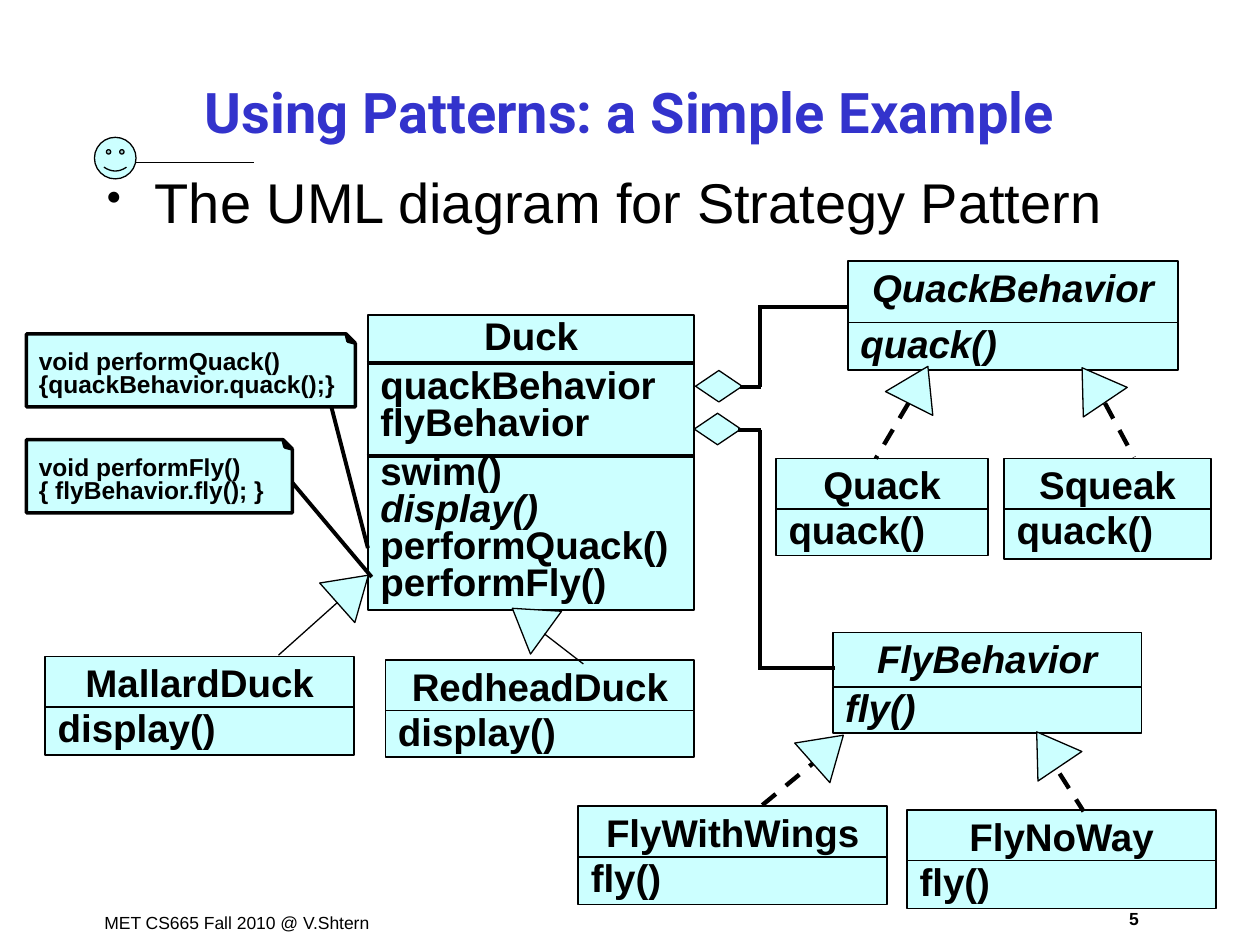
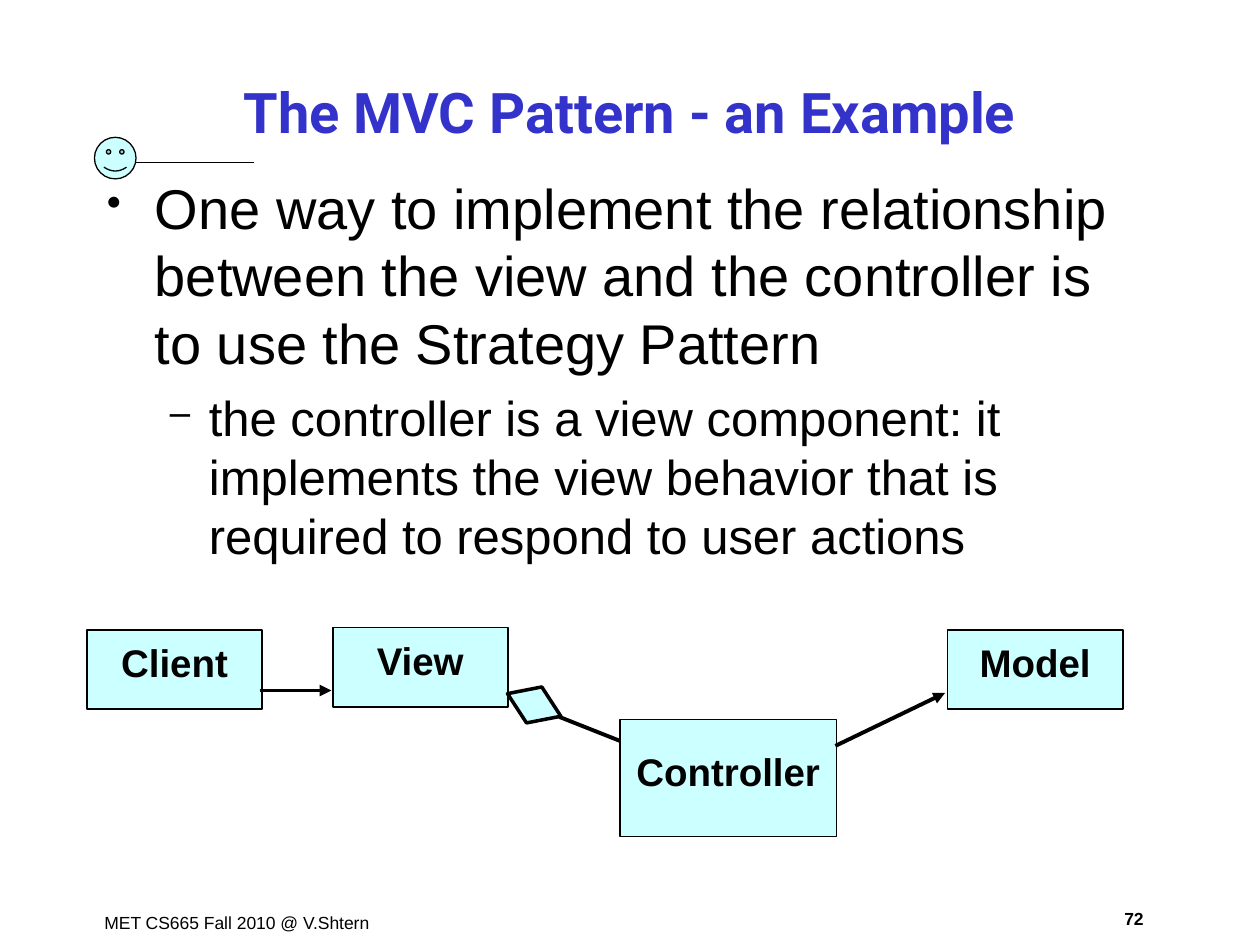
import pptx
import pptx.util
import pptx.dml.color
import pptx.enum.dml
import pptx.enum.shapes
import pptx.enum.text
import pptx.oxml.ns
from dataclasses import dataclass
from lxml import etree

Inches, Pt = pptx.util.Inches, pptx.util.Pt
Kind = pptx.enum.shapes.MSO_SHAPE
Align = pptx.enum.text.PP_ALIGN
Anchor = pptx.enum.text.MSO_ANCHOR
qn = pptx.oxml.ns.qn


@dataclass(frozen=True)
class Theme:
    ink: str = "000000"
    fill: str = "CCFFFF"
    blue: str = "3333CC"
    head: str = "Roboto"
    body: str = "Arial"
    title: int = 32
    sub: int = 28
    label: int = 22
    note: int = 14
    foot: int = 10
    hair: float = 0.74
    thin: float = 0.99
    bold: float = 2.01
    link: float = 2.24
    dash: float = 2.49


T = Theme()

FOOT = "MET CS665 Fall 2010 @ V.Shtern"
LEVELS = [("\u2022", T.title, 0.38, -0.38), ("\u2013", T.sub, 0.81, -0.31)]

UML = {
    "title": "Using Patterns: a Simple Example",
    "page": "5",
    "top": 1.32,
    "points": [("The UML diagram for Strategy Pattern", 0, 0.95, 6)],
}
MVC = {
    "title": "The MVC Pattern - an Example",
    "page": "72",
    "top": 1.33,
    "points": [
        ("One way to implement the relationship between the view and the "
         "controller is to use the Strategy Pattern", 0, 1, 8),
        ("the controller is a view component: it implements the view behavior "
         "that is required to respond to user actions", 1, 1, 7),
    ],
}

DUCK = [
    ("Duck", 0, False), ("quackBehavior", 6.9, False),
    ("flyBehavior", 0, False), ("swim()", 6.9, False),
    ("display()", 0, True), ("performQuack()", 0, False),
    ("performFly()", 0, False),
]
DUCK_AT = (2.92, 2.5, 2.59, 2.34)
RULES = [2.88, 3.62]

CLASSES = [
    ("MallardDuck", "display()", 0.36, 5.21, 2.45, 0.4, 0.38, False),
    ("RedheadDuck", "display()", 3.06, 5.24, 2.45, 0.4, 0.37, False),
    ("FlyBehavior", "fly()", 6.61, 5.02, 2.45, 0.43, 0.37, True),
    ("FlyWithWings", "fly()", 4.59, 6.4, 2.45, 0.4, 0.38, False),
    ("FlyNoWay", "fly()", 7.2, 6.43, 2.45, 0.4, 0.38, False),
    ("QuackBehavior", "quack()", 6.73, 2.07, 2.62, 0.49, 0.38, True),
    ("Quack", "quack()", 6.16, 3.64, 1.68, 0.4, 0.37, False),
    ("Squeak", "quack()", 7.97, 3.64, 1.64, 0.4, 0.4, False),
]

HEIRS = [
    (2.59, 4.51, 48.4, (2.21, 5.2), (2.68, 4.78), False),
    (3.99, 4.76, 305.9, (4.32, 5.03), (4.63, 5.27), False),
    (6.36, 5.78, 48.4, (6.05, 6.39), (6.45, 6.06), True),
    (8.11, 5.78, 326, (8.41, 6.14), (8.6, 6.44), True),
    (7.08, 2.89, 26.8, (7.21, 3.2), (6.95, 3.64), True),
    (8.47, 2.89, 326, (8.77, 3.2), (9, 3.63), True),
]

NOTES = [
    (["void performQuack()", "{quackBehavior.quack();}"],
     (0.21, 2.65, 2.61, 0.58), (2.63, 3.23), (2.92, 4.35)),
    (["void performFly()", "{ flyBehavior.fly(); }"],
     (0.21, 3.49, 2.11, 0.58), (2.32, 3.83), (2.95, 4.58)),
]

OWNERS = [
    (5.52, 2.94, 2.44, 6.72),
    (5.51, 3.28, 5.3, 6.63),
]
TRUNK = 6.03

PARTS = [
    ("View", (2.64, 4.98, 1.39, 0.63), 0.1),
    ("Controller", (4.92, 5.71, 1.72, 0.93), 0.25),
    ("Model", (7.52, 5, 1.39, 0.63), 0.1),
    ("Client", (0.69, 5, 1.39, 0.63), 0.1),
]
LINKS = [
    ((2.06, 5.48), (2.63, 5.48), True),
    ((4.44, 5.69), (4.92, 5.88), False),
    ((6.63, 5.92), (7.5, 5.5), True),
]


def color(code):
    return pptx.dml.color.RGBColor.from_string(code)


def frame(shape, anchor=Anchor.TOP, inset=0.05):
    box = shape.text_frame
    box.word_wrap = True
    box.vertical_anchor = anchor
    box.margin_left = box.margin_right = Inches(0.1)
    box.margin_top, box.margin_bottom = Inches(inset), Inches(0.05)
    return box


def write(box, text, size, first=True, align=Align.LEFT, space=1.0, before=0,
          bold=True, slant=False, font=T.body, ink=T.ink):
    para = box.paragraphs[0] if first else box.add_paragraph()
    para.alignment = align
    para.line_spacing = space
    para.space_before = Pt(before)
    run = para.add_run()
    run.text = text
    run.font.size = Pt(size)
    run.font.name = font
    run.font.bold = bold
    run.font.italic = slant
    run.font.color.rgb = color(ink)
    return para


def area(slide, at, anchor=Anchor.TOP):
    return frame(slide.shapes.add_textbox(*map(Inches, at)), anchor)


def draw(slide, kind, at, width=T.thin, turn=0, flip=False):
    shape = slide.shapes.add_shape(kind, *map(Inches, at))
    shape.shadow.inherit = False
    shape.fill.solid()
    shape.fill.fore_color.rgb = color(T.fill)
    shape.line.color.rgb = color(T.ink)
    shape.line.width = Pt(width)
    shape.rotation = turn
    if flip:
        shape._element.spPr.find(qn("a:xfrm")).set("flipV", "1")
    return shape


def join(slide, start, end, width=T.link, dash=False, arrow=False):
    line = slide.shapes.add_connector(
        pptx.enum.shapes.MSO_CONNECTOR.STRAIGHT,
        *map(Inches, (*start, *end)))
    line.line.color.rgb = color(T.ink)
    line.line.width = Pt(width)
    if dash:
        line.line.dash_style = pptx.enum.dml.MSO_LINE.DASH
    props = line._element.spPr
    if arrow:
        etree.SubElement(props.find(qn("a:ln")), qn("a:tailEnd"),
                         type="triangle")
    etree.SubElement(props, qn("a:effectLst"))


def bullet(para, mark, left, hang):
    props = para._p.get_or_add_pPr()
    props.set("marL", str(Inches(left)))
    props.set("indent", str(Inches(hang)))
    tint = etree.SubElement(props, qn("a:buClr"))
    etree.SubElement(tint, qn("a:srgbClr"), val=T.ink)
    etree.SubElement(props, qn("a:buSzPct"), val="75000")
    etree.SubElement(props, qn("a:buChar"), char=mark)


def start(deck, page):
    slide = deck.slides.add_slide(deck.slide_layouts[6])
    write(area(slide, (0.73, 7.19, 2.41, 0.27)), FOOT, T.foot,
          before=6.2, bold=False)
    write(area(slide, (8.73, 7.16, 0.54, 0.27)), page["page"], T.foot,
          align=Align.CENTER, before=6.2)
    draw(slide, Kind.SMILEY_FACE, (0.75, 1.09, 0.33, 0.33), T.hair)
    join(slide, (1.08, 1.29), (2.02, 1.29), T.thin)
    write(area(slide, (0.75, 0.48, 8.5, 0.8), Anchor.MIDDLE), page["title"],
          T.title, align=Align.CENTER, font=T.head, ink=T.blue)
    box = area(slide, (0.75, page["top"], 8.5, 5.76))
    for i, (text, level, space, before) in enumerate(page["points"]):
        mark, size, left, hang = LEVELS[level]
        para = write(box, text, size, i == 0, space=space, before=before,
                     bold=False)
        para.level = level
        bullet(para, mark, left, hang)
    return slide


def entity(slide, name, method, x, y, w, top, low, slant):
    head = frame(draw(slide, Kind.RECTANGLE, (x, y, w, top)))
    write(head, name, T.label, align=Align.CENTER, space=0.95, slant=slant)
    body = frame(draw(slide, Kind.RECTANGLE, (x, y + top, w, low)))
    write(body, method, T.label, space=0.8, slant=slant)


def memo(slide, lines, at):
    note = draw(slide, Kind.FOLDED_CORNER, at, T.bold, flip=True)
    shape = note._element.spPr.find(qn("a:prstGeom"))
    etree.SubElement(shape.find(qn("a:avLst")), qn("a:gd"),
                     name="adj", fmla="val 12500")
    box = frame(note, Anchor.MIDDLE)
    box._txBody.bodyPr.set("rot", "10800000")
    for i, text in enumerate(lines):
        write(box, text, T.note, i == 0, space=0.8)


def uml(deck):
    slide = start(deck, UML)
    box = frame(draw(slide, Kind.RECTANGLE, DUCK_AT))
    for i, (text, before, slant) in enumerate(DUCK):
        write(box, text, T.label, i == 0, Align.LEFT if i else Align.CENTER,
              0.8, before, slant=slant)
    for item in CLASSES:
        entity(slide, *item)
    for x, y, turn, tail, tip, dash in HEIRS:
        draw(slide, Kind.ISOSCELES_TRIANGLE, (x, y, 0.42, 0.33), T.hair, turn)
        join(slide, tail, tip, T.dash if dash else T.hair, dash)
    for y in RULES:
        join(slide, (2.91, y), (5.51, y))
    for lines, at, tail, tip in NOTES:
        memo(slide, lines, at)
        join(slide, tail, tip)
    for x, y, goal, edge in OWNERS:
        draw(slide, Kind.FLOWCHART_DECISION, (x, y, 0.37, 0.25), T.hair, 180)
        mid = y + 0.13
        join(slide, (x + 0.35, mid), (TRUNK + 0.01, mid))
        join(slide, (TRUNK, mid), (TRUNK, goal))
        join(slide, (TRUNK - 0.01, goal), (edge, goal))


def mvc(deck):
    slide = start(deck, MVC)
    for name, at, inset in PARTS:
        box = frame(draw(slide, Kind.RECTANGLE, at), inset=inset)
        write(box, name, T.label, align=Align.CENTER, space=0.95, before=5.5)
    draw(slide, Kind.FLOWCHART_DECISION, (4.01, 5.44, 0.46, 0.31), T.bold,
         23, True)
    for tail, tip, arrow in LINKS:
        join(slide, tail, tip, arrow=arrow)


deck = pptx.Presentation()
deck.slide_width, deck.slide_height = Inches(10), Inches(7.5)
uml(deck)
mvc(deck)
deck.save("out.pptx")
